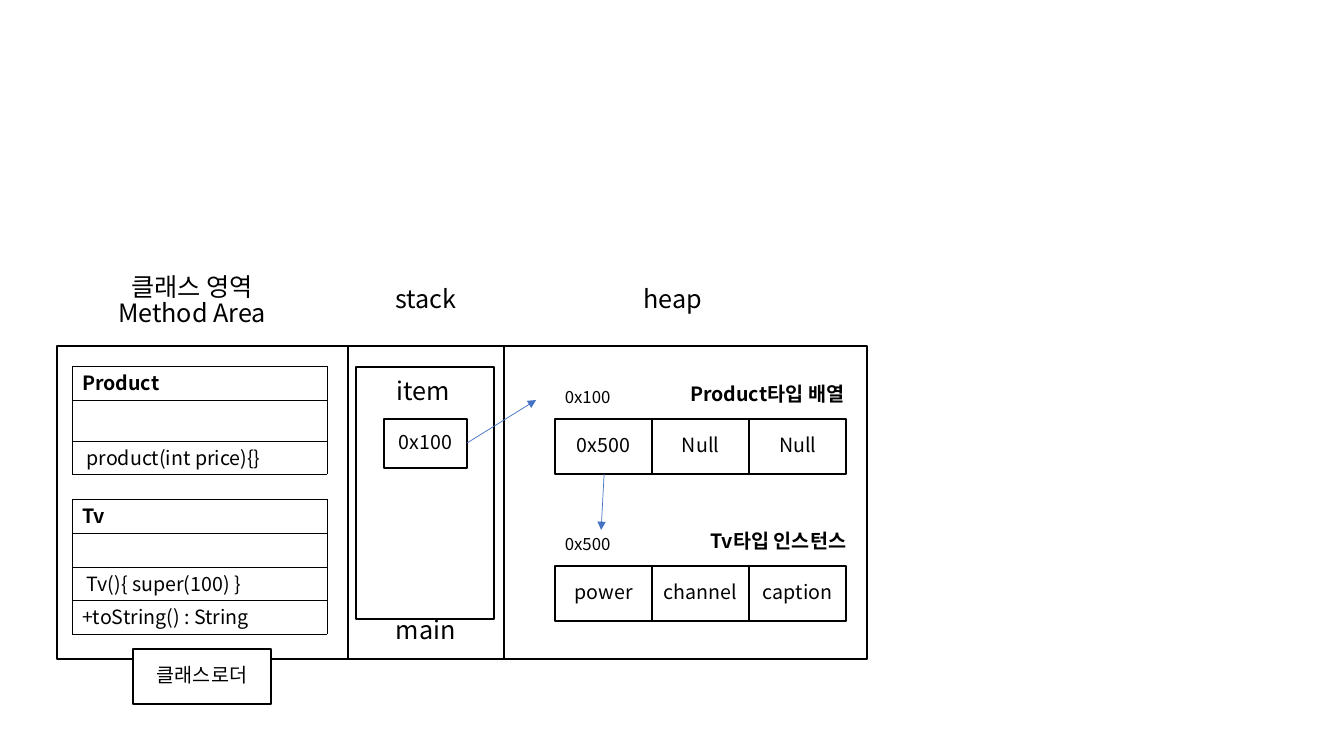
from dataclasses import dataclass

from lxml import etree
from pptx import Presentation
from pptx.dml.color import RGBColor
from pptx.enum.shapes import MSO_CONNECTOR, MSO_SHAPE
from pptx.enum.text import MSO_ANCHOR, PP_ALIGN
from pptx.oxml.ns import qn
from pptx.util import Emu, Inches, Pt

RECTANGLE = MSO_SHAPE.RECTANGLE
STRAIGHT = MSO_CONNECTOR.STRAIGHT
MIDDLE = MSO_ANCHOR.MIDDLE
LEFT, CENTER, RIGHT = PP_ALIGN.LEFT, PP_ALIGN.CENTER, PP_ALIGN.RIGHT
EMU_PER_PIXEL = 914400 / 100.8


@dataclass(frozen=True)
class Theme:
    font: str = "Noto Sans CJK KR"
    ink: str = "000000"
    paper: str = "FFFFFF"
    arrow: str = "4472C4"
    heading: int = 18
    body: int = 14
    address: int = 12
    outline: float = 1
    arrow_line: float = 0.5
    table_line: float = 0.25
    line_spacing: float = 0.85


THEME = Theme()


def px(value):
    return Emu(round(value * EMU_PER_PIXEL))


def color(value):
    return RGBColor.from_string(value)


def paint(target, value):
    target.solid()
    target.fore_color.rgb = color(value)


def write(text_frame, text, size, align=CENTER, bold=False):
    paragraph = text_frame.paragraphs[0]
    paragraph.text = text
    paragraph.alignment = align
    paragraph.line_spacing = THEME.line_spacing
    font = paragraph.font
    font.size = Pt(size)
    font.bold = bold
    font.name = THEME.font
    paint(font.fill, THEME.ink)
    defaults = paragraph._p.pPr.find(qn("a:defRPr"))
    etree.SubElement(defaults, qn("a:ea"), typeface=THEME.font)


def add_box(slide, left, top, width, height, text=None):
    shape = slide.shapes.add_shape(RECTANGLE, px(left), px(top), px(width), px(height))
    shape.shadow.inherit = False
    paint(shape.fill, THEME.paper)
    paint(shape.line.fill, THEME.ink)
    shape.line.width = Pt(THEME.outline)
    if text:
        shape.text_frame.vertical_anchor = MIDDLE
        shape.text_frame.margin_left = shape.text_frame.margin_right = px(5)
        write(shape.text_frame, text, THEME.body)


def add_label(slide, left, top, width, height, text, size, align=CENTER, bold=False):
    label = slide.shapes.add_textbox(px(left), px(top), px(width), px(height))
    label.text_frame.word_wrap = True
    write(label.text_frame, text, size, align, bold)


def add_arrow(slide, start, end):
    points = [px(value) for value in (*start, *end)]
    connector = slide.shapes.add_connector(STRAIGHT, *points)
    paint(connector.line.fill, THEME.arrow)
    connector.line.width = Pt(THEME.arrow_line)
    line = connector.line._get_or_add_ln()
    etree.SubElement(line, qn("a:tailEnd"), type="triangle")
    etree.SubElement(connector._element.spPr, qn("a:effectLst"))


def add_borders(cell):
    properties = cell._tc.get_or_add_tcPr()
    for index, side in enumerate(("lnL", "lnR", "lnT", "lnB")):
        border = etree.Element(qn(f"a:{side}"), w=str(Pt(THEME.table_line)))
        fill = etree.SubElement(border, qn("a:solidFill"))
        etree.SubElement(fill, qn("a:srgbClr"), val=THEME.ink)
        properties.insert(index, border)


def add_class_table(slide, top, members, heights):
    frame = slide.shapes.add_table(
        len(members), 1, px(72), px(top), px(255), px(sum(heights))
    )
    table = frame.table
    table.first_row = table.horz_banding = False
    for index, (member, height) in enumerate(zip(members, heights)):
        table.rows[index].height = px(height)
        cell = table.cell(index, 0)
        paint(cell.fill, THEME.paper)
        write(cell.text_frame, member, THEME.body, LEFT, bold=index == 0)
        add_borders(cell)


def add_heap_object(slide, top, address, title, title_right, values):
    for index, value in enumerate(values):
        add_box(slide, 555 + 97 * index, top, 97, 55, value)
    add_label(slide, 536, top - 34, 103, 30, address, THEME.address)
    add_label(slide, title_right - 202, top - 38, 202, 34, title, THEME.body, RIGHT, True)


def main():
    presentation = Presentation()
    presentation.slide_width = Inches(13.33)
    presentation.slide_height = Inches(7.5)
    slide = presentation.slides.add_slide(presentation.slide_layouts[6])

    for left, width in ((348, 519), (348, 156), (57, 291)):
        add_box(slide, left, 346, width, 313)
    add_box(slide, 356, 367, 138, 252)
    add_box(slide, 384, 419, 83, 49, "0x100")
    add_box(slide, 133, 649, 138, 55, "클래스로더")

    add_label(slide, 104, 271, 176, 72, "클래스 영역\vMethod Area", THEME.heading)
    for left, top, text in (
        (380, 283, "stack"),
        (627, 283, "heap"),
        (378, 375, "item"),
        (380, 614, "main"),
    ):
        add_label(slide, left, top, 91, 40, text, THEME.heading)

    add_heap_object(slide, 419, "0x100", "Product타입 배열", 854, ("0x500", "Null", "Null"))
    add_heap_object(
        slide, 566, "0x500", "Tv타입 인스턴스", 856, ("power", "channel", "caption")
    )
    add_arrow(slide, (467, 443), (536, 400))
    add_arrow(slide, (604, 474), (601, 530))

    add_class_table(
        slide,
        499,
        ("Tv", "", " Tv(){ super(100) }", "+toString() : String"),
        (34, 34, 33, 34),
    )
    add_class_table(slide, 366, ("Product", "", " product(int price){}"), (34, 41, 33))

    presentation.save("out.pptx")


main()
